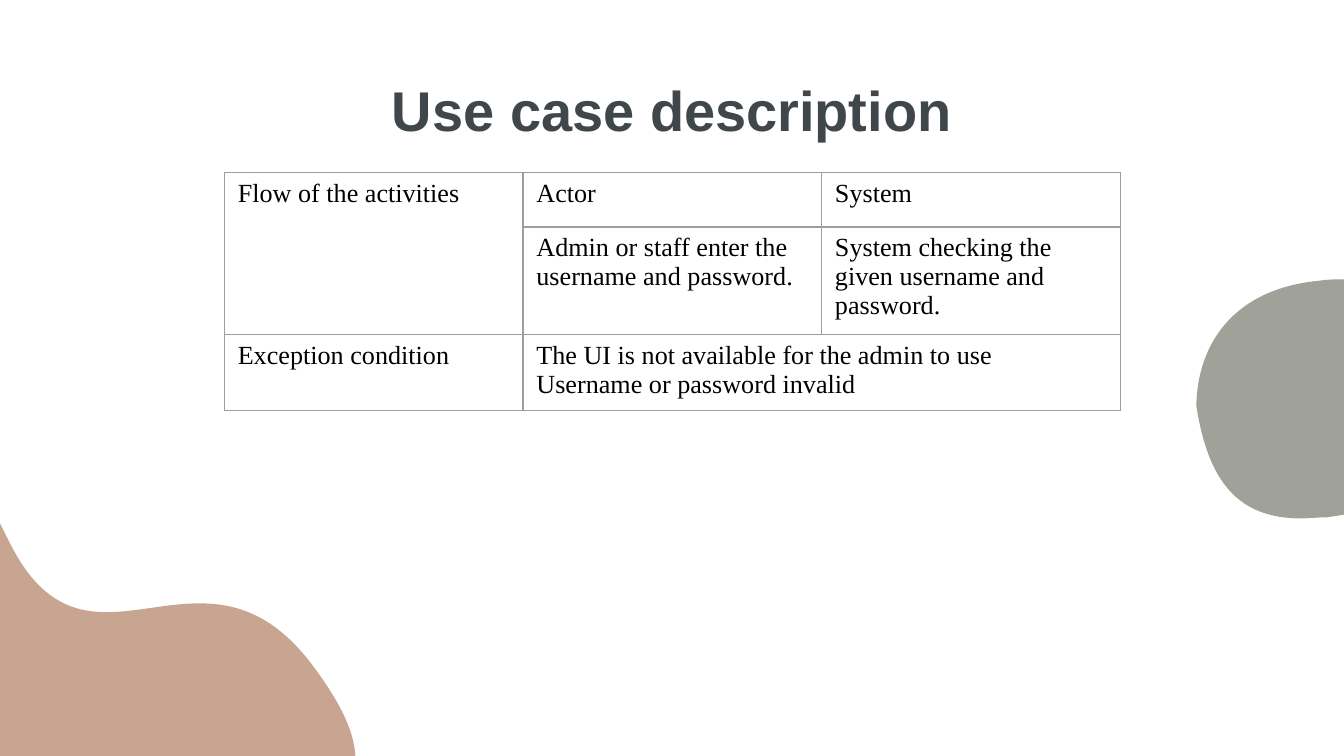
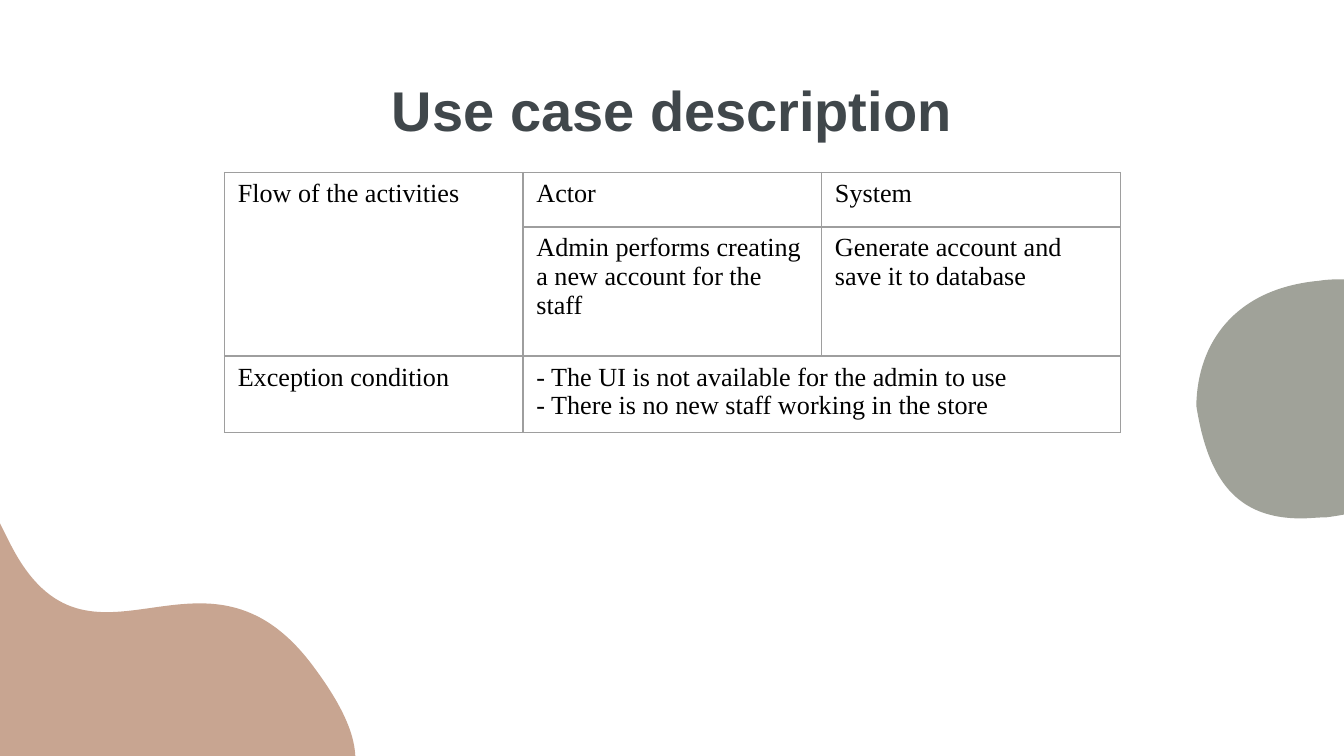
from math import cos, radians, sin

from lxml import etree
from pptx import Presentation
from pptx.dml.color import RGBColor
from pptx.enum.text import MSO_ANCHOR, PP_ALIGN
from pptx.oxml.ns import qn
from pptx.util import Cm, Pt

BOTTOM = MSO_ANCHOR.BOTTOM
CENTER = PP_ALIGN.CENTER

COLORS = {
    "title": "40474B",
    "text": "000000",
    "border": "9E9E9E",
    "clay": "C8A591",
    "sage": "A0A299",
}
TITLE_FONT = "Arial"
TABLE_FONT = "Times New Roman"
BORDER_WIDTH = Pt(0.75)
ROW_HEIGHT = 1.03

CLAY_BOX = (-1.8, 6.63, 7.06, 10.52)
CLAY_ROTATION = 330.6
CLAY_BLOB = [
    (-1.96, 7.92),
    (-1.85, 7.87), (-1.73, 7.87), (-1.57, 7.9),
    (-0.71, 8.03), (-0.71, 8.51), (0.2, 10.29),
    (1.7, 13.23), (3.86, 9.78), (5.94, 12.62),
    (7.09, 14.17), (6.93, 14.99), (5.69, 15.67),
    (5.31, 15.88), (4.85, 16.08), (4.29, 16.28),
    (1.85, 17.2), (-0.1, 15.82), (-1.04, 12.42),
    (-1.85, 9.58), (-2.44, 8.18), (-1.96, 7.92),
]
SAGE_BOX = (22.61, 5.28, 5.13, 4.52)
SAGE_BLOB = [
    (25.43, 5.28),
    (25.27, 5.28), (25.1, 5.28), (24.92, 5.31),
    (23.34, 5.46), (22.63, 6.48), (22.61, 7.67),
    (22.83, 9.07), (23.37, 9.8), (24.59, 9.8),
    (24.74, 9.8), (24.92, 9.78), (25.07, 9.78),
    (26.62, 9.58), (27.74, 8.84), (27.41, 6.88),
    (27.23, 5.74), (26.62, 5.28), (25.43, 5.28),
]

USE_CASES = [
    {
        "actor": "Admin or staff enter the username and password.",
        "system": "System checking the given username and password.",
        "exceptions": "The UI is not available for the admin to use\n"
                      "Username or password invalid",
        "flow_height": ROW_HEIGHT,
    },
    {
        "actor": "Admin performs creating a new account for the staff",
        "system": "Generate account and save it to database",
        "exceptions": "- The UI is not available for the admin to use\n"
                      "- There is no new staff working in the store",
        "flow_height": 2.44,
    },
]


def rgb(name):
    return RGBColor.from_string(COLORS[name])


def style_font(p, name, size, color, bold=False):
    p.font.name = name
    p.font.size = Pt(size)
    p.font.bold = bold
    p.font.color.rgb = rgb(color)


def to_box_frame(nodes, box, rotation):
    left, top, width, height = box
    c, s = cos(radians(rotation)), sin(radians(rotation))
    for x, y in nodes:
        dx, dy = x - left - width / 2, y - top - height / 2
        yield Cm(dx * c + dy * s + width / 2), Cm(dy * c - dx * s + height / 2)


def add_point(parent, point):
    x, y = point
    etree.SubElement(parent, qn("a:pt"), x=str(x), y=str(y))


def add_blob(slide, nodes, color, box, rotation=0):
    points = list(to_box_frame(nodes, box, rotation))
    builder = slide.shapes.build_freeform(*points[0])
    builder.add_line_segments(points[3::3], close=True)
    sp = builder.convert_to_shape()
    sp.left, sp.top, sp.width, sp.height = (Cm(v) for v in box)
    sp.rotation = rotation
    outline = sp._element.find(".//" + qn("a:path"))
    outline.set("w", str(sp.width))
    outline.set("h", str(sp.height))
    for child in list(outline):
        outline.remove(child)
    add_point(etree.SubElement(outline, qn("a:moveTo")), points[0])
    for i in range(1, len(points), 3):
        curve = etree.SubElement(outline, qn("a:cubicBezTo"))
        for point in points[i:i + 3]:
            add_point(curve, point)
    etree.SubElement(outline, qn("a:close"))
    sp.shadow.inherit = False
    sp.fill.solid()
    sp.fill.fore_color.rgb = rgb(color)
    sp.line.fill.background()


def add_title(slide, text):
    tf = slide.shapes.add_textbox(Cm(1.98), Cm(1.45), Cm(21.44), Cm(1.5)).text_frame
    tf.word_wrap = True
    tf.vertical_anchor = BOTTOM
    tf.margin_left = tf.margin_right = tf.margin_top = tf.margin_bottom = Cm(0.25)
    p = tf.paragraphs[0]
    p.text = text
    p.alignment = CENTER
    style_font(p, TITLE_FONT, 30, "title", bold=True)


def add_borders(cell):
    tc_pr = cell._tc.get_or_add_tcPr()
    for side in ("lnL", "lnR", "lnT", "lnB"):
        ln = etree.SubElement(tc_pr, qn(f"a:{side}"), w=str(BORDER_WIDTH))
        fill = etree.SubElement(ln, qn("a:solidFill"))
        etree.SubElement(fill, qn("a:srgbClr"), val=COLORS["border"])


def add_use_case_table(slide, use_case):
    heights = [ROW_HEIGHT, use_case["flow_height"], ROW_HEIGHT]
    rows = [
        ["Flow of the activities", "Actor", "System"],
        ["", use_case["actor"], use_case["system"]],
        ["Exception condition", use_case["exceptions"], ""],
    ]
    table = slide.shapes.add_table(
        3, 3, Cm(4.24), Cm(3.26), Cm(16.93), Cm(sum(heights))).table
    table.first_row = False
    table.horz_banding = False
    for row, height in zip(table.rows, heights):
        row.height = Cm(height)
    for i, texts in enumerate(rows):
        for j, text in enumerate(texts):
            cell = table.cell(i, j)
            cell.text = text
            add_borders(cell)
            cell.fill.background()
            for p in cell.text_frame.paragraphs:
                style_font(p, TABLE_FONT, 14, "text")
    table.cell(0, 0).merge(table.cell(1, 0))
    table.cell(2, 1).merge(table.cell(2, 2))


def add_use_case_slide(prs, use_case):
    slide = prs.slides.add_slide(prs.slide_layouts[6])
    add_blob(slide, CLAY_BLOB, "clay", CLAY_BOX, CLAY_ROTATION)
    add_blob(slide, SAGE_BLOB, "sage", SAGE_BOX)
    add_title(slide, "Use case description")
    add_use_case_table(slide, use_case)


def main():
    prs = Presentation()
    prs.slide_width = Cm(25.4)
    prs.slide_height = Cm(14.29)
    for use_case in USE_CASES:
        add_use_case_slide(prs, use_case)
    prs.save("out.pptx")


if __name__ == "__main__":
    main()
